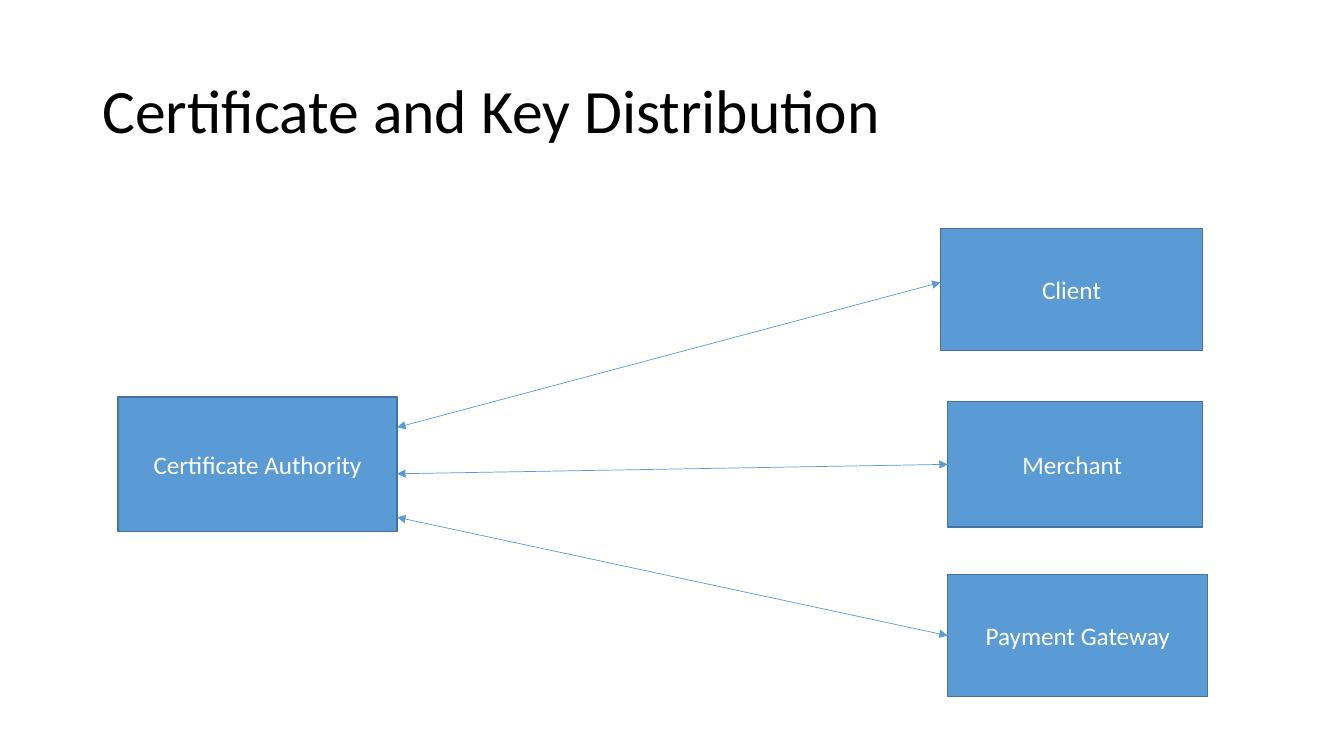
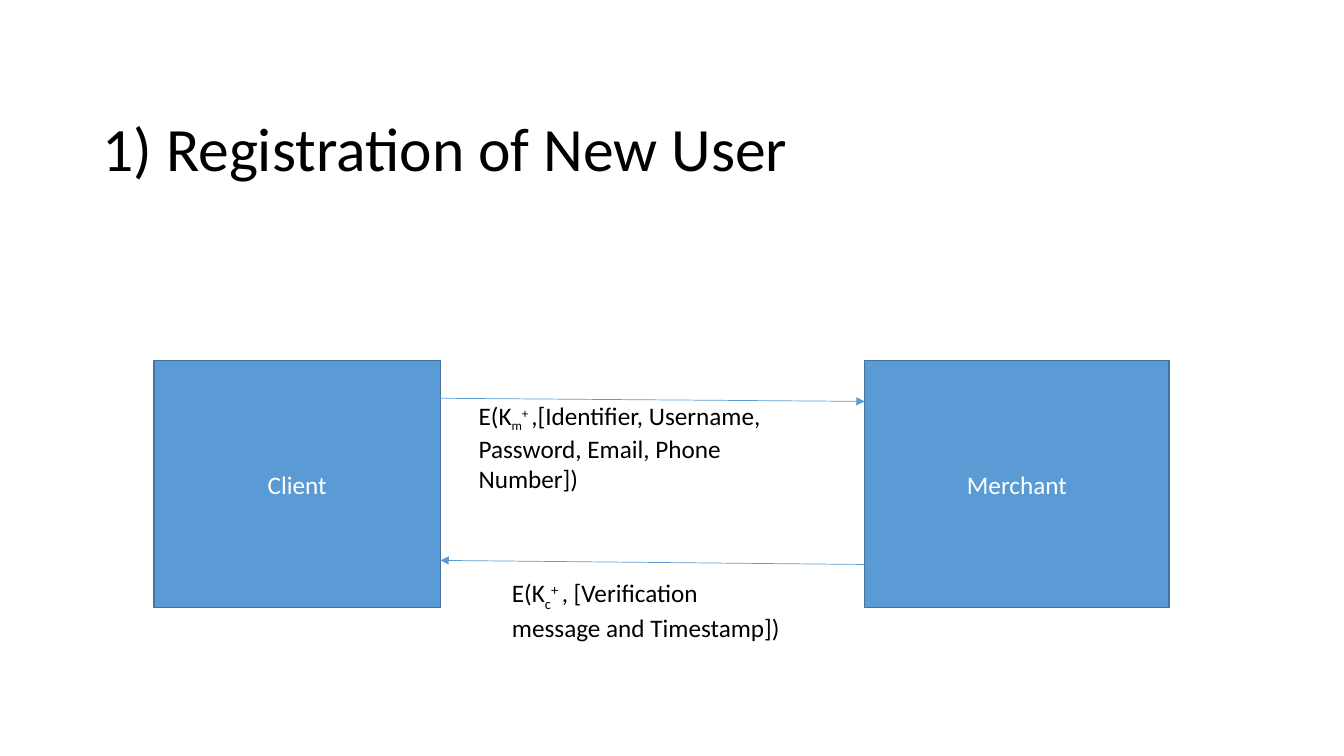
from dataclasses import dataclass

from lxml import etree
from pptx import Presentation
from pptx.dml.color import RGBColor
from pptx.enum.shapes import MSO_CONNECTOR, MSO_SHAPE
from pptx.enum.text import MSO_ANCHOR, MSO_AUTO_SIZE, PP_ALIGN
from pptx.oxml.ns import qn
from pptx.util import Pt

RECTANGLE = MSO_SHAPE.RECTANGLE
STRAIGHT = MSO_CONNECTOR.STRAIGHT
MIDDLE = MSO_ANCHOR.MIDDLE
CENTER = PP_ALIGN.CENTER
GROW = MSO_AUTO_SIZE.SHAPE_TO_FIT_TEXT
SUBSCRIPT, SUPERSCRIPT = -25, 30


@dataclass(frozen=True)
class Theme:
    font: str = "Calibri"
    ink: RGBColor = RGBColor(0x00, 0x00, 0x00)
    party_text: RGBColor = RGBColor(0xFF, 0xFF, 0xFF)
    party_fill: RGBColor = RGBColor(0x5B, 0x9B, 0xD5)
    party_border: RGBColor = RGBColor(0x43, 0x73, 0x9E)
    title_size: int = 44
    body_size: int = 18
    border_width: float = 1
    arrow_width: float = 0.5


THEME = Theme()


def style_run(run, size, color):
    run.font.name = THEME.font
    run.font.size = Pt(size)
    run.font.color.rgb = color


def add_title(slide, text, top=29):
    title = slide.shapes.add_textbox(Pt(66), Pt(top), Pt(828), Pt(104))
    frame = title.text_frame
    frame.word_wrap = True
    frame.vertical_anchor = MIDDLE
    frame.text = text
    paragraph = frame.paragraphs[0]
    paragraph.line_spacing = 0.9
    style_run(paragraph.runs[0], THEME.title_size, THEME.ink)


def add_party(slide, name, left, top, width, height):
    party = slide.shapes.add_shape(
        RECTANGLE, Pt(left), Pt(top), Pt(width), Pt(height))
    party.shadow.inherit = False
    party.fill.solid()
    party.fill.fore_color.rgb = THEME.party_fill
    party.line.color.rgb = THEME.party_border
    party.line.width = Pt(THEME.border_width)
    frame = party.text_frame
    frame.word_wrap = True
    frame.vertical_anchor = MIDDLE
    frame.text = name
    paragraph = frame.paragraphs[0]
    paragraph.alignment = CENTER
    style_run(paragraph.runs[0], THEME.body_size, THEME.party_text)
    return party


def add_exchange(slide, left_party, left_y, right_party, right_y, ends):
    """Join facing edges; ends lists headEnd (left) and/or tailEnd (right)."""
    arrow = slide.shapes.add_connector(
        STRAIGHT, left_party.left + left_party.width, Pt(left_y),
        right_party.left, Pt(right_y))
    arrow.line.color.rgb = THEME.party_fill
    arrow.line.width = Pt(THEME.arrow_width)
    properties = arrow._element.spPr
    outline = properties.find(qn("a:ln"))
    for end in ends:
        etree.SubElement(outline, qn(f"a:{end}"), type="triangle")
    etree.SubElement(properties, qn("a:effectLst"))


def add_message(slide, key_owner, payload, left, top, width, height,
                index_size=THEME.body_size):
    """Write a message encrypted with the public key of key_owner."""
    message = slide.shapes.add_textbox(
        Pt(left), Pt(top), Pt(width), Pt(height))
    frame = message.text_frame
    frame.word_wrap = True
    frame.auto_size = GROW
    pieces = [
        ("E(K", THEME.body_size, 0),
        (key_owner, index_size, SUBSCRIPT),
        ("+ ", index_size, SUPERSCRIPT),
        (payload, THEME.body_size, 0),
    ]
    for text, size, baseline in pieces:
        run = frame.paragraphs[0].add_run()
        run.text = text
        style_run(run, size, THEME.ink)
        if baseline:
            run.font._element.set("baseline", f"{baseline * 1000}")


def build_distribution(slide):
    add_title(slide, "Certificate and Key Distribution")
    authority = add_party(slide, "Certificate Authority", 84.3, 283.7, 199.4, 95.8)
    recipients = [
        ("Client", (671.8, 163.3, 187.2, 87.3), 305.3, 201.7),
        ("Merchant ", (676.9, 286.8, 182, 89.8), 338.4, 331.7),
        ("Payment Gateway", (676.9, 410.3, 185.8, 87.3), 369.5, 454),
    ]
    for name, bounds, authority_y, recipient_y in recipients:
        recipient = add_party(slide, name, *bounds)
        add_exchange(slide, authority, authority_y, recipient, recipient_y,
                     ["headEnd", "tailEnd"])


def build_registration(slide):
    add_title(slide, "1) Registration of New User", top=56)
    client = add_party(slide, "Client", 110, 257.5, 204.6, 176.4)
    merchant = add_party(slide, "Merchant", 617.6, 257.5, 217.6, 176.4)
    add_exchange(slide, client, 284.5, merchant, 286.7, ["tailEnd"])
    add_message(slide, "m",
                ",[Identifier, Username, Password, Email, Phone Number])",
                334.8, 282.2, 235.4, 72.7, index_size=16)
    add_exchange(slide, client, 400.3, merchant, 403.2, ["headEnd"])
    add_message(slide, "c", ", [Verification message and Timestamp])",
                358.6, 409, 208, 51)


def main():
    deck = Presentation()
    deck.slide_width, deck.slide_height = Pt(960), Pt(540)
    blank = deck.slide_layouts[6]
    for build in (build_distribution, build_registration):
        build(deck.slides.add_slide(blank))
    deck.save("out.pptx")


if __name__ == "__main__":
    main()
